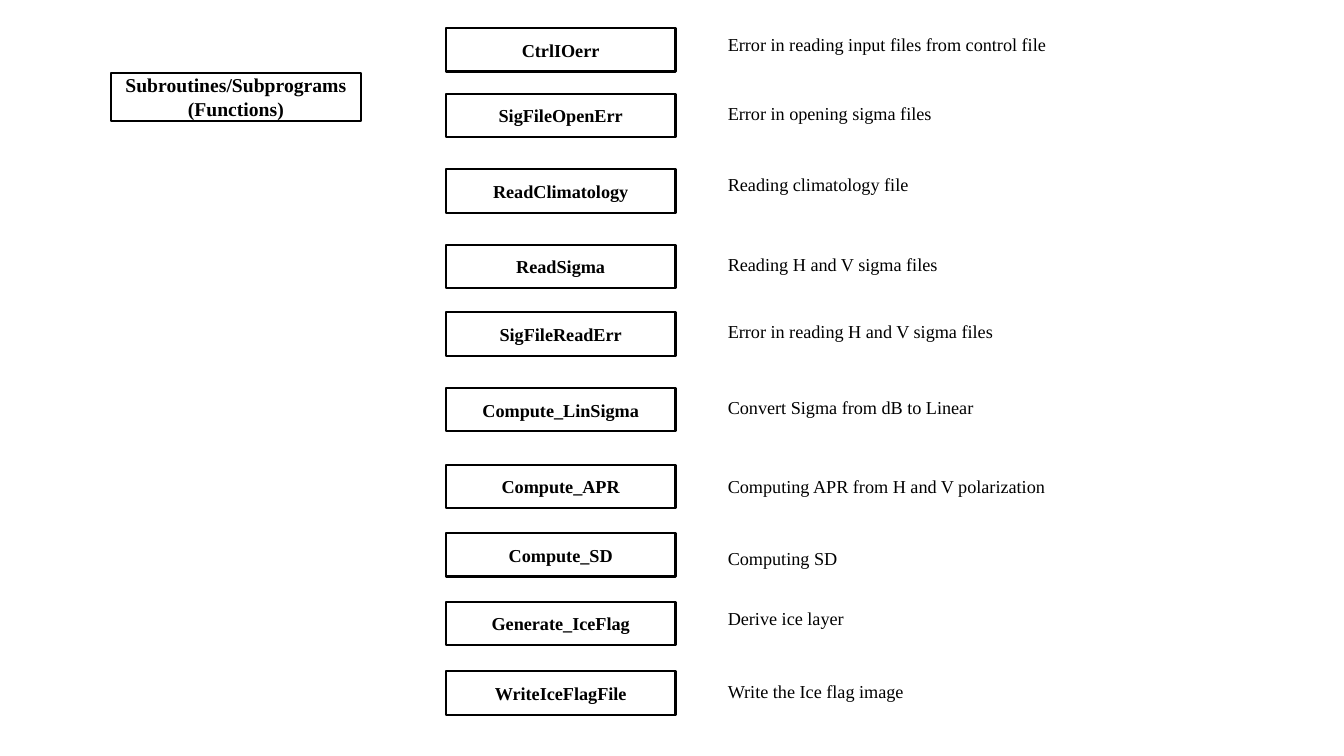
"""Build a slide listing subroutines beside a short description of each."""
from pptx import Presentation
from pptx.dml.color import RGBColor
from pptx.enum.shapes import MSO_SHAPE
from pptx.enum.text import MSO_ANCHOR, MSO_AUTO_SIZE, PP_ALIGN
from pptx.util import Inches, Pt

RECT = MSO_SHAPE.RECTANGLE
MIDDLE = MSO_ANCHOR.MIDDLE
CENTER = PP_ALIGN.CENTER
GROW = MSO_AUTO_SIZE.SHAPE_TO_FIT_TEXT

COLORS = {"ink": "000000", "paper": "FFFFFF"}
FONT = "Times New Roman"

HEADING = ["Subroutines/Subprograms", "(Functions)"]
# name, box top, description, description top, description width
ROUTINES = [
    ("CtrlIOerr", 0.28, "Error in reading input files from control file", 0.28, 3.4),
    ("SigFileOpenErr", 0.93, "Error in opening sigma files", 0.97, 2.25),
    ("ReadClimatology", 1.68, "Reading climatology file", 1.67, 2.01),
    ("ReadSigma", 2.43, "Reading H and V sigma files", 2.46, 2.3),
    ("SigFileReadErr", 3.1, "Error in reading H and V sigma files", 3.13, 2.87),
    ("Compute_LinSigma", 3.85, "Convert Sigma from dB to Linear", 3.88, 2.67),
    ("Compute_APR", 4.61, "Computing APR from H and V polarization", 4.67, 3.39),
    ("Compute_SD", 5.29, "Computing SD", 5.38, 1.3),
    ("Generate_IceFlag", 5.97, "Derive ice layer", 5.98, 1.37),
    ("WriteIceFlagFile", 6.66, "Write the Ice flag image", 6.7, 1.97),
]
NAME_LEFT, NAME_WIDTH, NAME_HEIGHT = 4.42, 2.28, 0.43
NOTE_LEFT, NOTE_HEIGHT = 7.12, 0.32


def color(name):
    """Return a palette colour."""
    return RGBColor.from_string(COLORS[name])


def write(tf, lines, size, bold=False, align=None):
    """Fill a text frame with one paragraph per line."""
    for i, line in enumerate(lines):
        p = tf.add_paragraph() if i else tf.paragraphs[0]
        p.text = line
        p.alignment = align
        p.font.name = FONT
        p.font.size = Pt(size)
        p.font.bold = bold
        p.font.color.rgb = color("ink")


def add_box(s, lines, left, top, width, height, size):
    """Draw an outlined box with bold centred text."""
    sp = s.shapes.add_shape(RECT, *map(Inches, (left, top, width, height)))
    sp.shadow.inherit = False
    sp.fill.solid()
    sp.fill.fore_color.rgb = color("paper")
    sp.line.color.rgb = color("ink")
    sp.line.width = Pt(1.5)
    sp.text_frame.vertical_anchor = MIDDLE
    write(sp.text_frame, lines, size, True, CENTER)


def add_note(s, text, top, width):
    """Place a one-line description."""
    sp = s.shapes.add_textbox(*map(Inches, (NOTE_LEFT, top, width, NOTE_HEIGHT)))
    tf = sp.text_frame
    tf.word_wrap = False
    tf.auto_size = GROW
    write(tf, [text], 13)


def main():
    """Build and save the slide."""
    prs = Presentation()
    prs.slide_width, prs.slide_height = Inches(13.33), Inches(7.5)
    s = prs.slides.add_slide(prs.slide_layouts[6])
    add_box(s, HEADING, 1.1, 0.72, 2.48, 0.48, 14)
    for name, top, note, note_top, note_width in ROUTINES:
        add_box(s, [name], NAME_LEFT, top, NAME_WIDTH, NAME_HEIGHT, 13)
        add_note(s, note, note_top, note_width)
    prs.save("out.pptx")


if __name__ == "__main__":
    main()
